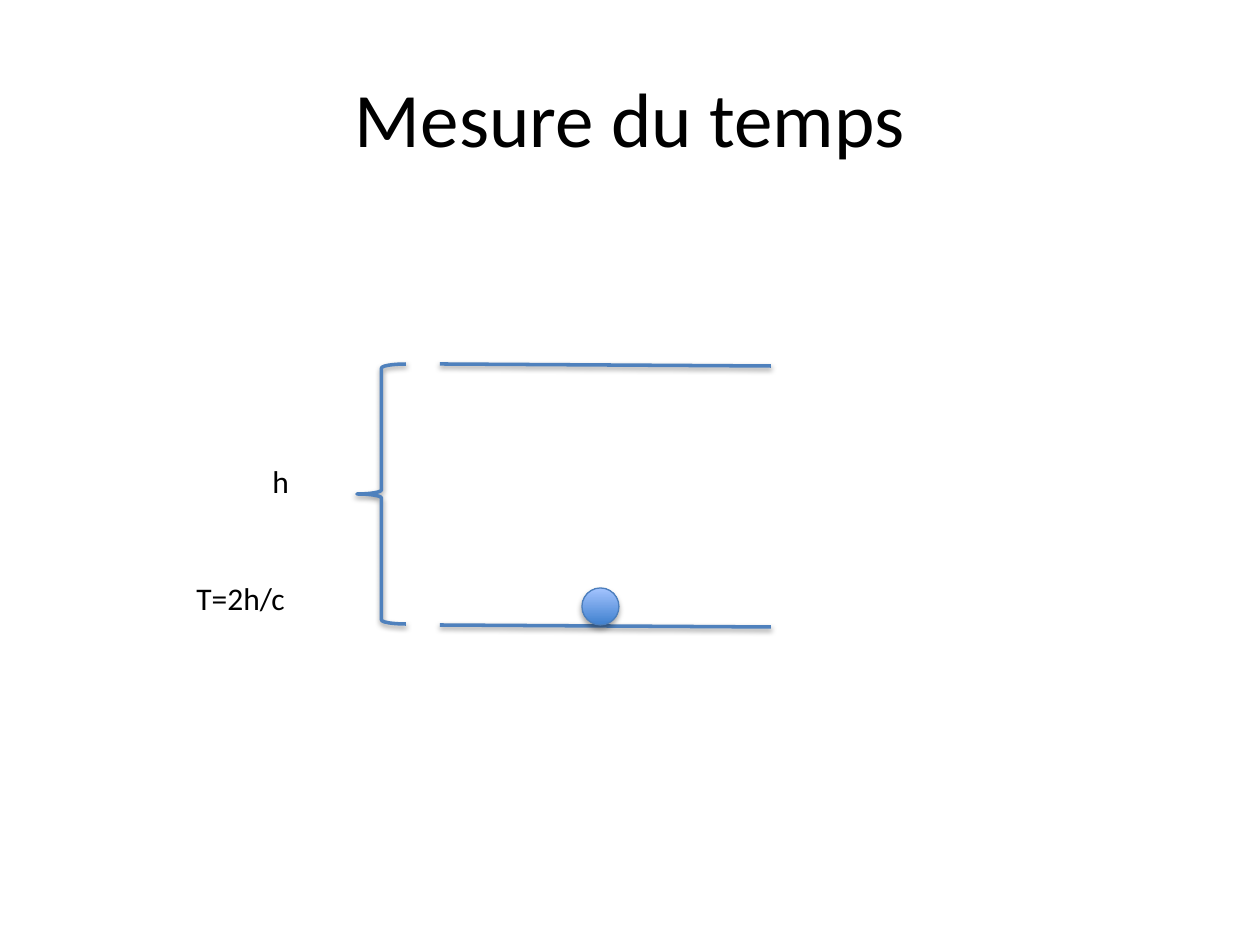
from pptx import Presentation
from pptx.dml.color import RGBColor
from pptx.enum.shapes import MSO_CONNECTOR, MSO_SHAPE
from pptx.enum.text import MSO_ANCHOR, MSO_AUTO_SIZE, PP_ALIGN
from pptx.oxml import parse_xml
from pptx.oxml.ns import nsdecls
from pptx.util import Emu, Pt

STRAIGHT = MSO_CONNECTOR.STRAIGHT
ELLIPSE, LEFT_BRACE = MSO_SHAPE.OVAL, MSO_SHAPE.LEFT_BRACE
MIDDLE, TOP = MSO_ANCHOR.MIDDLE, MSO_ANCHOR.TOP
GROW = MSO_AUTO_SIZE.SHAPE_TO_FIT_TEXT
CENTER, LEFT = PP_ALIGN.CENTER, PP_ALIGN.LEFT
EMU_PER_PX = 914400 / 126


def px(length):
    return Emu(round(length * EMU_PER_PX))


def color(value):
    return RGBColor.from_string(value)


class SlideBuilder:
    """Hold the style and the current slide, and add elements to it."""

    font_name = "Calibri"
    text_color = "000000"
    line_color = "4F81BD"
    line_width = 2

    def __init__(self, presentation):
        self.slide = presentation.slides.add_slide(presentation.slide_layouts[5])

    def add_text(self, shape, text, size, alignment):
        paragraph = shape.text_frame.paragraphs[0]
        paragraph.alignment = alignment
        run = paragraph.add_run()
        run.text = text
        formats = {"name": self.font_name, "size": Pt(size)}
        for name, value in formats.items():
            setattr(run.font, name, value)
        run.font.color.rgb = color(self.text_color)

    def outline(self, shape, line_color, width):
        shape.line.color.rgb = color(line_color)
        shape.line.width = Pt(width)

    def shadow(self, shape, distance, opacity):
        shape.element.spPr.append(parse_xml(
            f'<a:effectLst {nsdecls("a")}>'
            f'<a:outerShdw blurRad="{Pt(3.1)}" dist="{Pt(distance)}" dir="5400000" rotWithShape="0">'
            f'<a:srgbClr val="000000"><a:alpha val="{opacity * 1000}"/></a:srgbClr>'
            '</a:outerShdw></a:effectLst>'))

    def title(self, text, left, top, width, height):
        shape = self.slide.shapes.title
        box = {"left": left, "top": top, "width": width, "height": height}
        for name, value in box.items():
            setattr(shape, name, px(value))
        shape.text_frame.vertical_anchor = MIDDLE
        self.add_text(shape, text, 44, CENTER)

    def label(self, text, left, top, width, height):
        shape = self.slide.shapes.add_textbox(px(left), px(top), px(width), px(height))
        formats = {"word_wrap": True, "auto_size": GROW, "vertical_anchor": TOP}
        for name, value in formats.items():
            setattr(shape.text_frame, name, value)
        self.add_text(shape, text, 18, LEFT)

    def mirror(self, left, top, right, bottom):
        line = self.slide.shapes.add_connector(STRAIGHT, px(left), px(top), px(right), px(bottom))
        self.outline(line, self.line_color, self.line_width)
        self.shadow(line, 1.6, 38)

    def ball(self, left, top, diameter):
        shape = self.slide.shapes.add_shape(ELLIPSE, px(left), px(top), px(diameter), px(diameter))
        shape.fill.gradient()
        shape.fill.gradient_angle = 90
        stops = [(0, "3F80CE"), (1, "A4C4FF")]
        for stop, (position, value) in zip(shape.fill.gradient_stops, stops):
            stop.position = position
            stop.color.rgb = color(value)
        self.outline(shape, "4B7EBC", 0.75)
        self.shadow(shape, 1.8, 35)

    def brace(self, left, top, width, height):
        shape = self.slide.shapes.add_shape(LEFT_BRACE, px(left), px(top), px(width), px(height))
        shape.fill.background()
        self.outline(shape, self.line_color, self.line_width)
        self.shadow(shape, 1.6, 38)


def main():
    presentation = Presentation()
    presentation.slide_width = px(1260)
    presentation.slide_height = px(945)
    builder = SlideBuilder(presentation)
    builder.title("Mesure du temps", 63, 38, 1134, 157)
    for top in (364, 625):
        builder.mirror(440, top, 771, top + 2)
    builder.ball(582, 588, 37)
    builder.brace(357, 364, 49, 260)
    builder.label("h", 260, 456, 58, 51)
    builder.label("T=2h/c", 184, 573, 152, 51)
    presentation.save("out.pptx")


if __name__ == "__main__":
    main()
